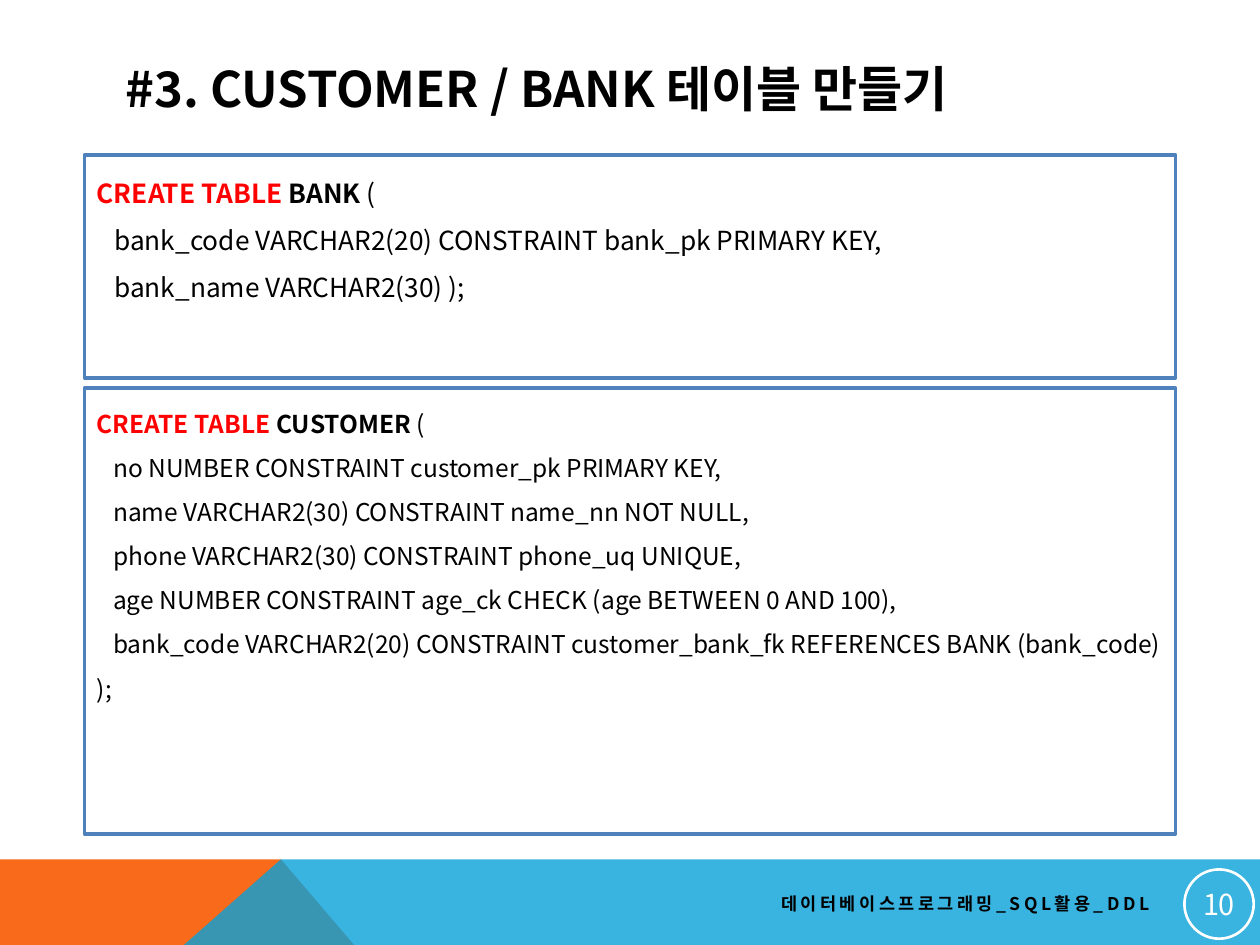
from dataclasses import dataclass
from pptx import Presentation
from pptx.dml.color import RGBColor
from pptx.enum.shapes import MSO_SHAPE
from pptx.enum.text import MSO_ANCHOR, PP_ALIGN
from pptx.oxml.ns import qn
from pptx.util import Inches, Pt
from lxml.etree import SubElement


@dataclass(frozen=True)
class Theme:
    font: str = "Noto Sans CJK KR"
    text: str = "000000"
    keyword: str = "FF0000"
    paper: str = "FFFFFF"
    frame: str = "4F81BD"
    orange: str = "F96A1B"
    blue: str = "08A1D9"
    title_size: float = 28
    number_size: float = 16.5
    footer_size: float = 10
    code_spacing: float = 1.5
    code_indent: float = 0.67


class Deck:
    COLS, ROWS = 100, 75

    def __init__(self, theme):
        self.theme = theme
        self.prs = Presentation()
        self.prs.slide_width, self.prs.slide_height = Inches(10), Inches(7.5)
        self.slide = self.prs.slides.add_slide(self.prs.slide_layouts[6])

    def x(self, cols):
        return round(self.prs.slide_width * cols / self.COLS)

    def y(self, rows):
        return round(self.prs.slide_height * rows / self.ROWS)

    def area(self, left, top, width, height):
        return self.x(left), self.y(top), self.x(width), self.y(height)

    def paint(self, sp, fill=None, line=None, weight=1):
        sp.shadow.inherit = False
        if fill:
            sp.fill.solid()
            sp.fill.fore_color.rgb = RGBColor.from_string(fill)
        else:
            sp.fill.background()
        if line:
            sp.line.color.rgb = RGBColor.from_string(line)
            sp.line.width = Pt(weight)
        else:
            sp.line.fill.background()

    def style(self, r, size, color, bold=False, spacing=0):
        r.font.size, r.font.bold, r.font.name = Pt(size), bold, self.theme.font
        r.font.color.rgb = RGBColor.from_string(color)
        rPr = r._r.get_or_add_rPr()
        SubElement(rPr, qn("a:ea")).set("typeface", self.theme.font)
        if spacing:
            rPr.set("spc", str(spacing * 100))

    def set_line(self, sp, text, size, color, align=PP_ALIGN.LEFT, bold=False, spacing=0):
        tf = sp.text_frame
        tf.word_wrap = True
        tf.vertical_anchor = MSO_ANCHOR.MIDDLE
        tf.text = text
        p = tf.paragraphs[0]
        p.alignment = align
        self.style(p.runs[0], size, color, bold, spacing)

    def label(self, grid, text, size, **look):
        sp = self.slide.shapes.add_textbox(*self.area(*grid))
        self.set_line(sp, text, size, self.theme.text, bold=True, **look)

    def band(self, points, color, opacity=100):
        start, *rest = [(self.x(c), self.y(r)) for c, r in points]
        builder = self.slide.shapes.build_freeform(*start)
        builder.add_line_segments(rest, close=True)
        sp = builder.convert_to_shape()
        self.paint(sp, color)
        if opacity < 100:
            clr = sp._element.spPr.find(qn("a:solidFill"))[0]
            SubElement(clr, qn("a:alpha")).set("val", str(opacity * 1000))

    def badge(self, grid, text):
        sp = self.slide.shapes.add_shape(MSO_SHAPE.OVAL, *self.area(*grid))
        self.paint(sp, line=self.theme.paper, weight=1.5)
        tf = sp.text_frame
        tf.margin_left = tf.margin_right = tf.margin_top = tf.margin_bottom = Inches(0.01)
        self.set_line(sp, text, self.theme.number_size, self.theme.paper, PP_ALIGN.CENTER)

    def code(self, grid, table, columns, size):
        t = self.theme
        sp = self.slide.shapes.add_shape(MSO_SHAPE.RECTANGLE, *self.area(*grid))
        self.paint(sp, t.paper, t.frame, 2)
        tf = sp.text_frame
        tf.word_wrap = True
        tf.vertical_anchor = MSO_ANCHOR.TOP
        tf.text = "\n".join(["", *columns])
        head, *body = tf.paragraphs
        for text, color, bold in (("CREATE TABLE ", t.keyword, True),
                                  (table + " ", t.text, True),
                                  ("(", t.text, False)):
            r = head.add_run()
            r.text = text
            self.style(r, size, color, bold)
        for p in tf.paragraphs:
            p.alignment = PP_ALIGN.LEFT
            p.line_spacing = t.code_spacing
        for p in body:
            p._p.get_or_add_pPr().set("indent", str(Pt(size * t.code_indent)))
            self.style(p.runs[0], size, t.text)

    def save(self):
        self.prs.save("out.pptx")


theme = Theme()
deck = Deck(theme)

BAND_TOP, BOTTOM, PEAK = 68.2, 75, 22.3
deck.band([(0, BAND_TOP), (PEAK, BAND_TOP), (28.1, BOTTOM), (0, BOTTOM)], theme.orange)
deck.band([(PEAK, BAND_TOP), (100, BAND_TOP), (100, BOTTOM), (14.6, BOTTOM)], theme.blue, 80)
deck.badge((94, 69, 5.5, 5.5), "10")
deck.label((35.8, 70.2, 56.4, 3), "데이터베이스프로그래밍_SQL활용_DDL", theme.footer_size,
           align=PP_ALIGN.RIGHT, spacing=2)

deck.code((6.7, 30.8, 86.6, 35.4), "CUSTOMER", [
    "no NUMBER CONSTRAINT customer_pk PRIMARY KEY,",
    "name VARCHAR2(30) CONSTRAINT name_nn NOT NULL,",
    "phone VARCHAR2(30) CONSTRAINT phone_uq UNIQUE,",
    "age NUMBER CONSTRAINT age_ck CHECK (age BETWEEN 0 AND 100),",
    "bank_code VARCHAR2(20) CONSTRAINT customer_bank_fk REFERENCES BANK (bank_code) );",
], 14)
deck.code((6.7, 12.3, 86.6, 17.7), "BANK", [
    "bank_code VARCHAR2(20) CONSTRAINT bank_pk PRIMARY KEY,",
    "bank_name VARCHAR2(30) );",
], 15)

deck.label((9, 4, 82.2, 6), "#3. CUSTOMER / BANK 테이블 만들기", theme.title_size)
deck.save()
